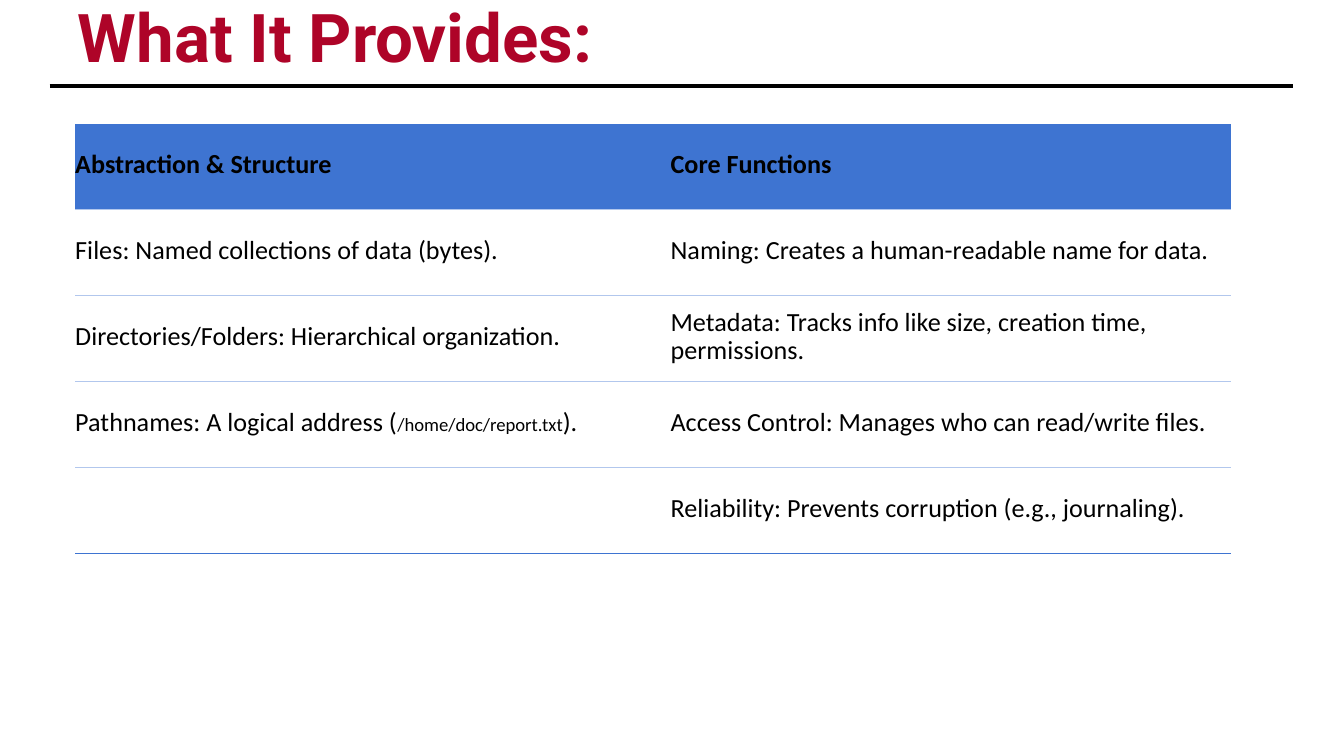
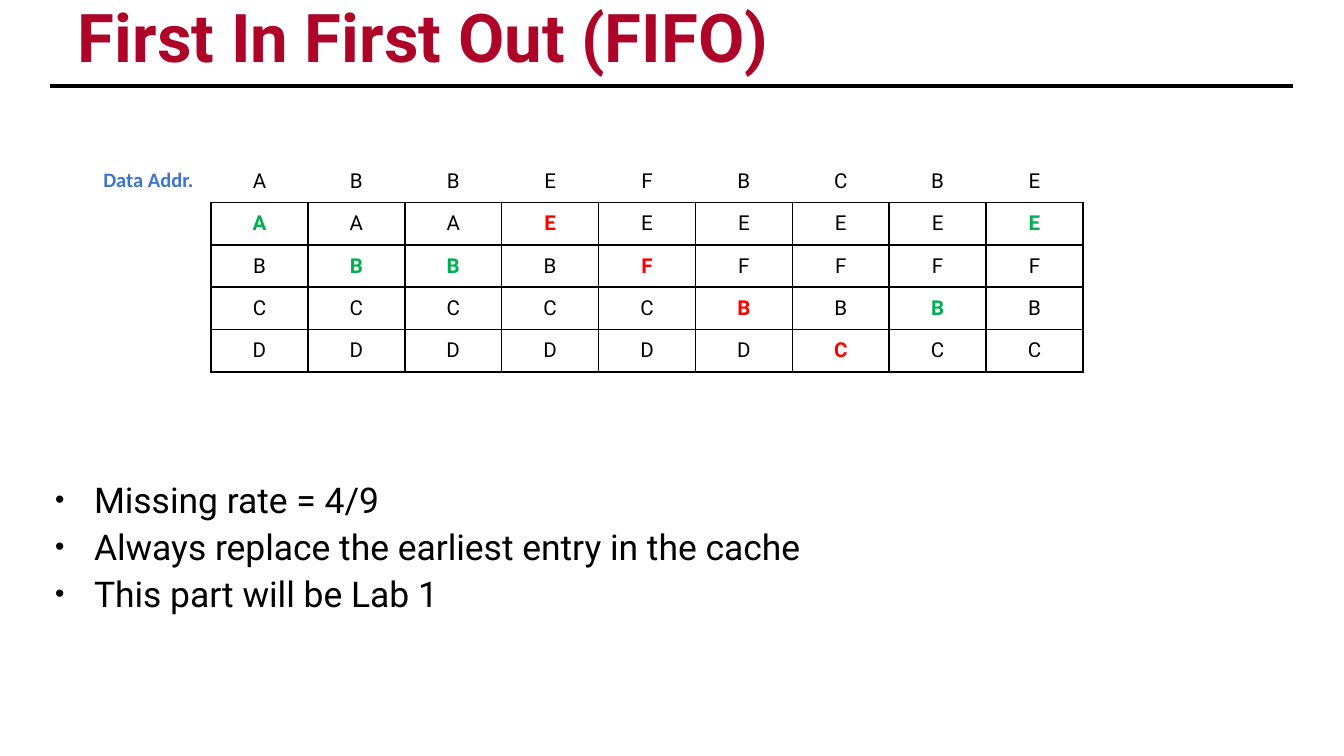
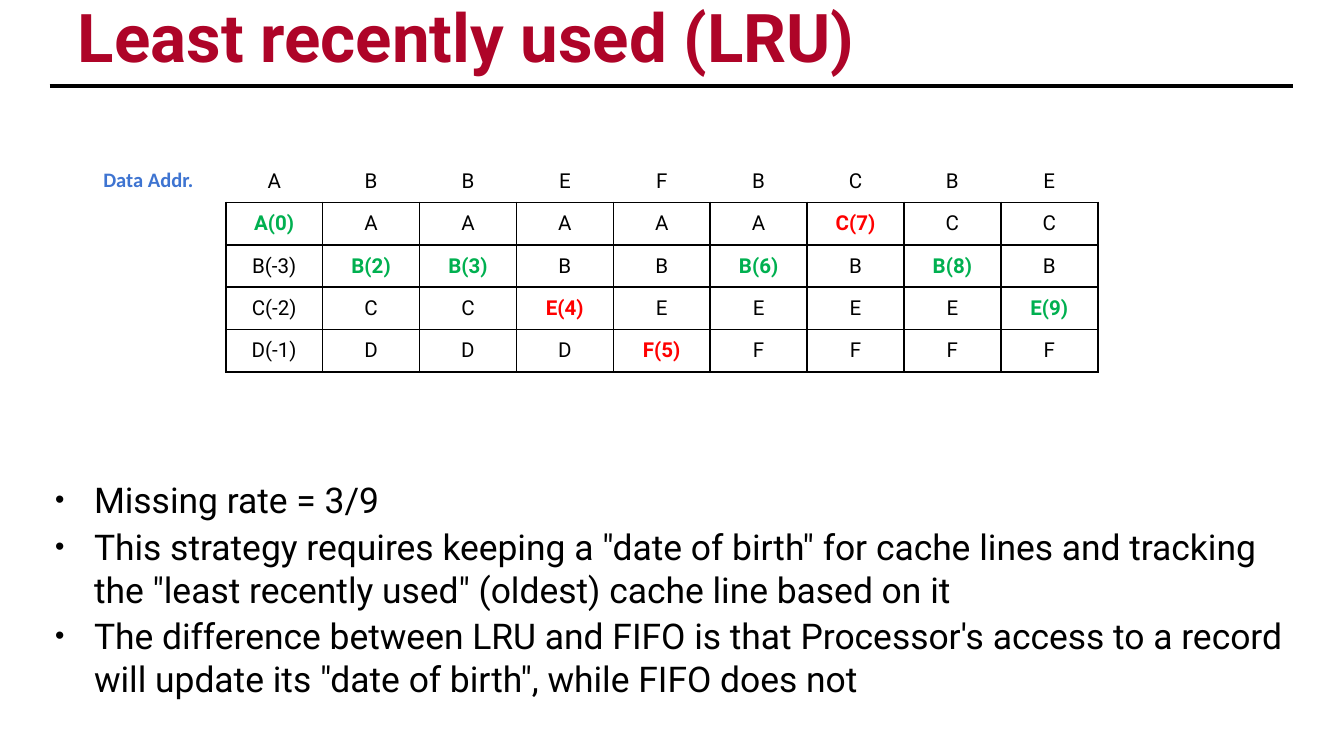
import pptx
import pptx.dml.color
import pptx.enum.shapes
import pptx.enum.text
import pptx.oxml
import pptx.oxml.ns
import pptx.util
from pptx.util import Inches

RGBColor = pptx.dml.color.RGBColor
Anchor = pptx.enum.text.MSO_ANCHOR
Align = pptx.enum.text.PP_ALIGN

CRIMSON = RGBColor(0xAE, 0x04, 0x28)
BLACK = RGBColor(0x00, 0x00, 0x00)
WHITE = RGBColor(0xFF, 0xFF, 0xFF)
BLUE = RGBColor(0x3E, 0x74, 0xD1)
PALE_BLUE = RGBColor(0xB2, 0xC7, 0xED)
HIT_GREEN = RGBColor(0x00, 0xB0, 0x50)
MISS_RED = RGBColor(0xFF, 0x00, 0x00)
MARKS = {"+": HIT_GREEN, "!": MISS_RED}

HEADING_FONT = "Roboto"
TABLE_FONT = "Calibri"
NS = pptx.oxml.ns.nsdecls("a")
BULLET_TAGS = ('buSzPct %s val="75000"', 'buFont %s typeface="Arial"',
               'buChar %s char="•"')

FEATURES = [
    ("Abstraction & Structure", "Core Functions"),
    ("Files: Named collections of data (bytes).",
     "Naming: Creates a human-readable name for data."),
    ("Directories/Folders: Hierarchical organization.",
     "Metadata: Tracks info like size, creation time, permissions."),
    ("Pathnames: A logical address (|/home/doc/report.txt|).",
     "Access Control: Manages who can read/write files."),
    ("", "Reliability: Prevents corruption (e.g., journaling)."),
]

ACCESSES = "A B B E F B C B E"
FIFO_CACHE = [
    ACCESSES,
    "A+ A A E! E E E E E+",
    "B B+ B+ B F! F F F F",
    "C C C C C B! B B+ B",
    "D D D D D D C! C C",
]
LRU_CACHE = [
    ACCESSES,
    "A(0)+ A A A A A C(7)! C C",
    "B(-3) B(2)+ B(3)+ B B B(6)+ B B(8)+ B",
    "C(-2) C C E(4)! E E E E E(9)+",
    "D(-1) D D D F(5)! F F F F",
]


class Deck:
    """Holds the shared style and the slide being filled."""

    def __init__(self):
        self.presentation = pptx.Presentation()
        self.presentation.slide_width = Inches(10)
        self.presentation.slide_height = Inches(10) * 9 // 16
        self.slide = None

    def style(self, paragraph, size, color, font, bold=False):
        for run in paragraph.runs:
            run.font.size = pptx.util.Pt(size)
            run.font.name = font
            run.font.bold = bold
            run.font.color.rgb = color

    def text_frame(self, left, top, width, height, inset=0.03):
        box = self.slide.shapes.add_textbox(
            Inches(left), Inches(top), Inches(width), Inches(height))
        frame = box.text_frame
        frame.word_wrap = True
        frame.margin_left = frame.margin_right = Inches(inset)
        frame.margin_top = frame.margin_bottom = Inches(inset)
        return frame

    def new_slide(self, title):
        self.slide = self.presentation.slides.add_slide(
            self.presentation.slide_layouts[6])
        rule = self.slide.shapes.add_connector(
            pptx.enum.shapes.MSO_CONNECTOR.STRAIGHT,
            Inches(0.37), Inches(0.64), Inches(9.62), Inches(0.64))
        rule.line.color.rgb = BLACK
        rule.line.width = pptx.util.Pt(2)
        rule._element.spPr.append(
            pptx.oxml.parse_xml(f"<a:effectLst {NS}/>"))
        frame = self.text_frame(0.55, 0.1, 8.91, 0.49)
        frame.text = title
        frame.paragraphs[0].line_spacing = 0.7
        self.style(frame.paragraphs[0], 36, CRIMSON, HEADING_FONT, True)

    def bullets(self, lines):
        frame = self.text_frame(0.38, 3.52, 9.24, 1.7)
        frame.margin_top = Inches(0.04)
        frame.text = "\n".join(lines)
        for index, paragraph in enumerate(frame.paragraphs):
            properties = paragraph._p.get_or_add_pPr()
            properties.set("marL", str(Inches(0.29)))
            properties.set("indent", str(-Inches(0.29)))
            for tag in BULLET_TAGS:
                properties.append(
                    pptx.oxml.parse_xml(f"<a:{tag % NS}/>"))
            paragraph.space_before = pptx.util.Pt(2.2 if index else 0)
            self.style(paragraph, 19, BLACK, HEADING_FONT)

    def borders(self, cell, weight, **colors):
        properties = cell._tc.get_or_add_tcPr()
        for side in "LRTB":
            color = colors.get(side)
            paint = (f'<a:solidFill><a:srgbClr val="{color}"/></a:solidFill>'
                     '<a:prstDash val="solid"/>'
                     if color is not None else "<a:noFill/>")
            properties.append(pptx.oxml.parse_xml(
                f'<a:ln{side} {NS} w="{pptx.util.Pt(weight)}" cap="flat" '
                f'cmpd="sng" algn="ctr">{paint}</a:ln{side}>'))

    def margins(self, cell, left, right, vertical):
        cell.margin_left, cell.margin_right = Inches(left), Inches(right)
        cell.margin_top = cell.margin_bottom = Inches(vertical)
        cell.vertical_anchor = Anchor.MIDDLE

    def table(self, rows, columns, left, top, width, height):
        table = self.slide.shapes.add_table(
            rows, columns, Inches(left), Inches(top),
            Inches(width), Inches(height)).table
        table.first_row = table.horz_banding = False
        return table

    def feature_table(self, features):
        last = len(features) - 1
        table = self.table(len(features), 2, 0.56, 0.92, 8.6, 3.2)
        for row, texts in enumerate(features):
            for column, text in enumerate(texts):
                cell = table.cell(row, column)
                self.margins(cell, 0.13 * column, 0.13 * (1 - column), 0.08)
                self.borders(cell, 0.75, T=PALE_BLUE if row else None,
                             B=BLUE if row == last else PALE_BLUE)
                cell.fill.solid()
                cell.fill.fore_color.rgb = WHITE if row else BLUE
                if not text:
                    continue
                paragraph = cell.text_frame.paragraphs[0]
                paragraph.line_spacing = pptx.util.Pt(15)
                for part in text.split("|"):
                    paragraph.add_run().text = part
                self.style(paragraph, 14, BLACK, TABLE_FONT, row == 0)
                for file_path in paragraph.runs[1::2]:
                    file_path.font.size = pptx.util.Pt(10)

    def cache_table(self, left, cache):
        grid = [line.split() for line in cache]
        table = self.table(len(grid), len(grid[0]), left, 1.19, 6.49, 1.58)
        for row, entries in enumerate(grid):
            for column, entry in enumerate(entries):
                cell = table.cell(row, column)
                self.margins(cell, 0.07, 0.07, 0.03)
                sides = "LRTB" if row else "B"
                self.borders(cell, 1, **dict.fromkeys(sides, BLACK))
                cell.fill.background()
                mark = MARKS.get(entry[-1])
                cell.text_frame.text = entry.rstrip("+!")
                paragraph = cell.text_frame.paragraphs[0]
                paragraph.alignment = Align.CENTER
                self.style(paragraph, 11, mark or BLACK, HEADING_FONT,
                           mark is not None)

    def address_label(self):
        frame = self.text_frame(0.67, 1.19, 0.89, 0.29, 0.1)
        frame.margin_top = frame.margin_bottom = Inches(0.05)
        frame.word_wrap = False
        frame.auto_size = pptx.enum.text.MSO_AUTO_SIZE.SHAPE_TO_FIT_TEXT
        frame.text = "Data Addr."
        self.style(frame.paragraphs[0], 11, BLUE, TABLE_FONT, True)

    def cache_slide(self, title, left, cache, lines):
        self.new_slide(title)
        self.cache_table(left, cache)
        self.bullets(lines)
        self.address_label()


def main():
    deck = Deck()
    deck.new_slide("What It Provides:")
    deck.feature_table(FEATURES)
    deck.cache_slide("First In First Out (FIFO)", 1.57, FIFO_CACHE, [
        "Missing rate = 4/9",
        "Always replace the earliest entry in the cache",
        "This part will be Lab 1",
    ])
    deck.cache_slide("Least recently used (LRU)", 1.68, LRU_CACHE, [
        "Missing rate = 3/9",
        'This strategy requires keeping a "date of birth" for cache lines and '
        'tracking the "least recently used" (oldest) cache line based on it',
        "The difference between LRU and FIFO is that Processor's access to a "
        'record will update its "date of birth", while FIFO does not',
    ])
    deck.presentation.save("out.pptx")


if __name__ == "__main__":
    main()
